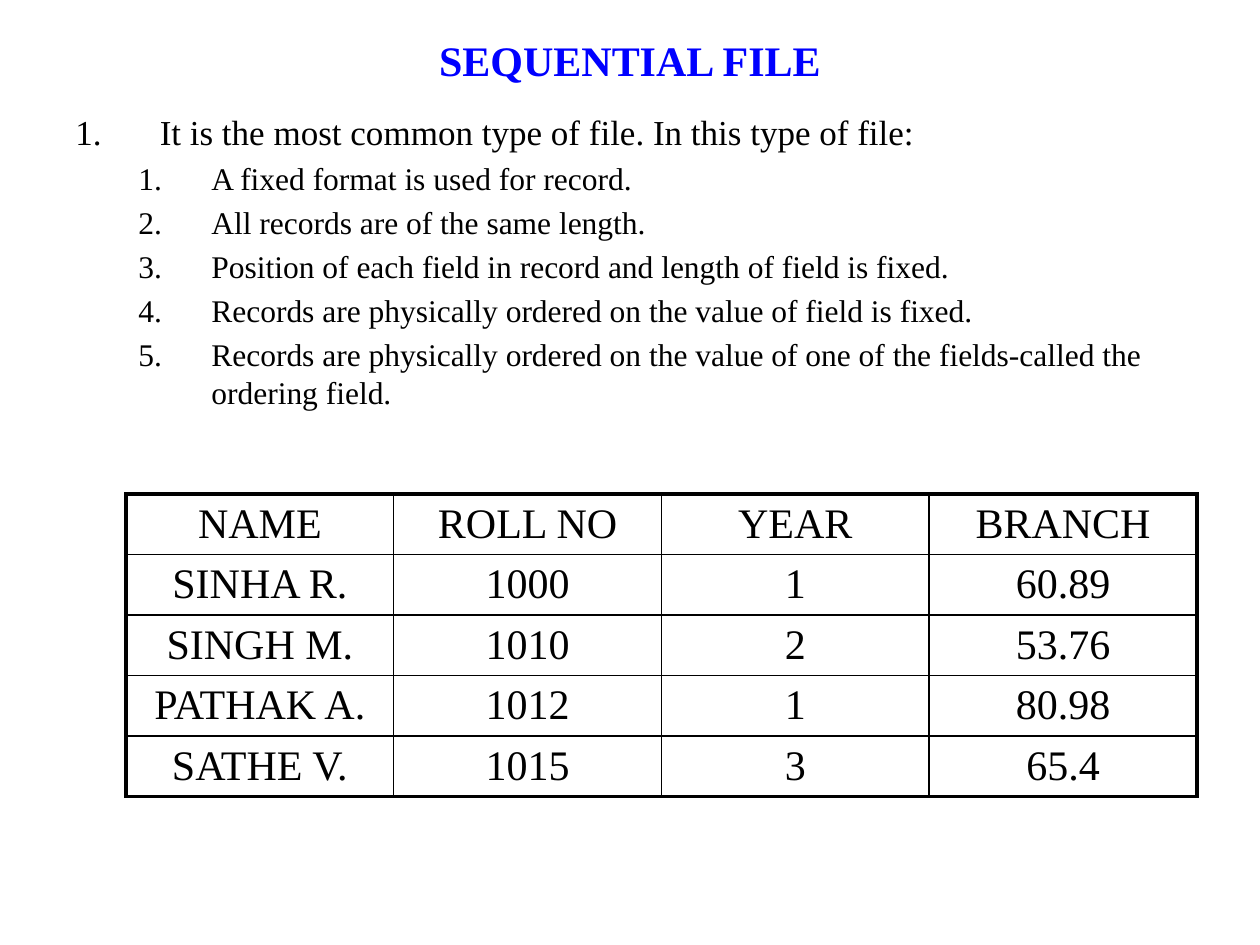
from pptx import Presentation, util as u
from pptx.dml.color import RGBColor
from pptx.enum import text
from pptx.oxml.xmlchemy import OxmlElement

COLORS = {"title": "0000FF", "ink": "000000"}
FONT = "Times New Roman"
INTRO = "It is the most common type of file. In this type of file:"
RULES = [
    "A fixed format is used for record.",
    "All records are of the same length.",
    "Position of each field in record and length of field is fixed.",
    "Records are physically ordered on the value of field is fixed.",
    "Records are physically ordered on the value of one of the fields-called the ordering field.",
]
RECORDS = [
    ("NAME", "ROLL NO", "YEAR", "BRANCH"),
    ("SINHA R.", "1000", "1", "60.89"),
    ("SINGH M.", "1010", "2", "53.76"),
    ("PATHAK A.", "1012", "1", "80.98"),
    ("SATHE V.", "1015", "3", "65.4"),
]


def write(paragraph, words, size, color="ink", bold=False):
    run = paragraph.add_run()
    run.text = words
    formats = {"name": FONT, "size": u.Pt(size), "bold": bold}
    for key, value in formats.items():
        setattr(run.font, key, value)
    run.font.color.rgb = RGBColor.from_string(COLORS[color])


def add_frame(slide, box, anchor):
    frame = slide.shapes.add_textbox(*map(u.Inches, box)).text_frame
    frame.word_wrap = True
    frame.vertical_anchor = anchor
    return frame


def add_title(slide, box):
    heading = add_frame(slide, box, text.MSO_ANCHOR.MIDDLE).paragraphs[0]
    heading.alignment = text.PP_ALIGN.CENTER
    write(heading, "SEQUENTIAL FILE", 24, "title", bold=True)


def number(paragraph, indent, hanging):
    """Turn on automatic 1. 2. 3. numbering with a hanging indent."""
    props = paragraph._p.get_or_add_pPr()
    props.set("marL", str(u.Inches(indent)))
    props.set("indent", str(-u.Inches(hanging)))
    bullet = OxmlElement("a:buAutoNum")
    bullet.set("type", "arabicPeriod")
    props.append(bullet)


def add_rules(slide, box):
    frame = add_frame(slide, box, text.MSO_ANCHOR.TOP)
    items = [(INTRO, 0, 20, 0.67, 0.67)] + [(rule, 1, 18, 1.08, 0.58) for rule in RULES]
    for index, (words, level, size, indent, hanging) in enumerate(items):
        item = frame.add_paragraph() if index else frame.paragraphs[0]
        item.level = level
        item.space_before = u.Pt(size * 0.2)
        number(item, indent, hanging)
        write(item, words, size)


def set_borders(cell, widths):
    props = cell._tc.get_or_add_tcPr()
    for position, (side, width) in enumerate(widths.items()):
        line = OxmlElement(f"a:ln{side}")
        line.set("w", str(u.Pt(width)))
        fill = OxmlElement("a:solidFill")
        color = OxmlElement("a:srgbClr")
        color.set("val", COLORS["ink"])
        fill.append(color)
        line.append(fill)
        props.insert(position, line)


def add_records(slide, box):
    rows, cols = len(RECORDS), len(RECORDS[0])
    table = slide.shapes.add_table(rows, cols, *map(u.Inches, box)).table
    table.first_row = table.horz_banding = False
    outer, inner = 2.25, 1
    cell_format = {
        "vertical_anchor": text.MSO_ANCHOR.MIDDLE,
        "margin_top": u.Inches(0.04),
        "margin_bottom": u.Inches(0.04),
    }
    for r, record in enumerate(RECORDS):
        for c, value in enumerate(record):
            cell = table.cell(r, c)
            for key, setting in cell_format.items():
                setattr(cell, key, setting)
            cell.fill.background()
            set_borders(cell, {
                "L": outer if c == 0 else inner,
                "R": outer if c == cols - 1 else inner,
                "T": outer if r == 0 else inner,
                "B": outer if r == rows - 1 else inner,
            })
            entry = cell.text_frame.paragraphs[0]
            entry.alignment = text.PP_ALIGN.CENTER
            write(entry, value, 24)


def main():
    deck = Presentation()
    deck.slide_width, deck.slide_height = u.Inches(10), u.Inches(7.5)
    slide = deck.slides.add_slide(deck.slide_layouts[6])
    add_title(slide, (0.5, 0.08, 9, 0.78))
    add_rules(slide, (0.5, 0.83, 9.17, 2.58))
    add_records(slide, (1, 3.92, 8.5, 2.35))
    deck.save("out.pptx")


if __name__ == "__main__":
    main()
